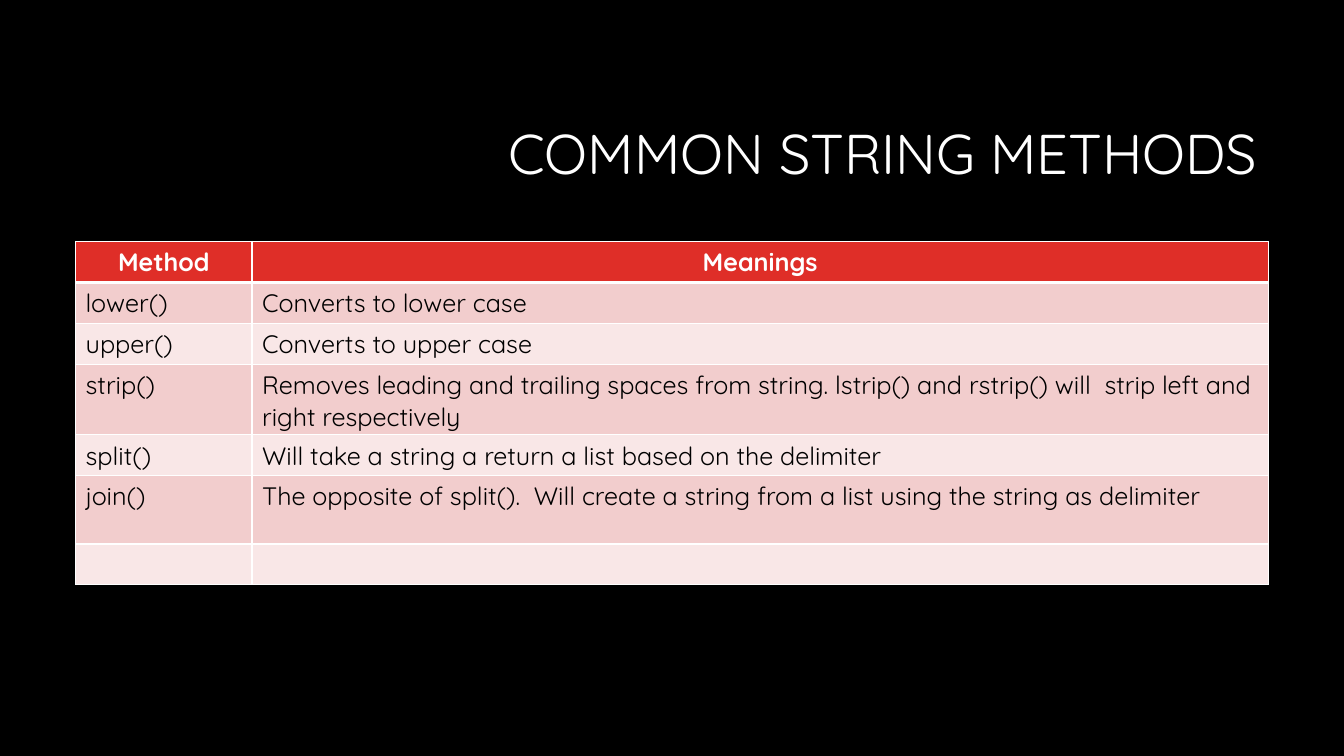
from dataclasses import dataclass

from lxml import etree
from pptx import Presentation
from pptx.dml.color import RGBColor
from pptx.enum import text
from pptx.oxml import ns
from pptx.slide import Slide
from pptx.table import _Cell
from pptx.util import Emu, Pt

EMU_PER_PX = 9525
FONT = "Quicksand"
BLACK = RGBColor(0x00, 0x00, 0x00)
WHITE = RGBColor(0xFF, 0xFF, 0xFF)
RED = RGBColor(0xDF, 0x2E, 0x28)
ROSE = RGBColor(0xF2, 0xCD, 0xCD)
PALE_ROSE = RGBColor(0xF9, 0xE7, 0xE7)
THIN = Pt(0.96)
THICK = Pt(3)
COLUMN_WIDTHS = (168, 968)


@dataclass(frozen=True)
class MethodRow:
    method: str
    meaning: str
    height: int = 39


METHOD_ROWS = (
    MethodRow("Method", "Meanings"),
    MethodRow("lower()", "Converts to lower case"),
    MethodRow("upper()", "Converts to upper case"),
    MethodRow(
        "strip()",
        "Removes leading and trailing spaces from string. lstrip() and rstrip() "
        "will  strip left and right respectively",
        65,
    ),
    MethodRow("split()", "Will take a string a return a list based on the delimiter"),
    MethodRow(
        "join()",
        "The opposite of split().  Will create a string from a list using "
        "the string as delimiter",
        65,
    ),
    MethodRow("", "", 36),
)


def px(length: int) -> Emu:
    return Emu(length * EMU_PER_PX)


def add_title(slide: Slide, wording: str) -> None:
    title = slide.shapes.add_textbox(px(304), px(81), px(903), px(135)).text_frame
    title.word_wrap = True
    title.vertical_anchor = text.MSO_ANCHOR.MIDDLE
    heading = title.paragraphs[0]
    heading.text = wording
    heading.alignment = text.PP_ALIGN.RIGHT
    heading.line_spacing = 0.9
    heading.font.name = FONT
    heading.font.size = Pt(40)
    heading.font.color.rgb = WHITE


def add_borders(cell: _Cell, top: Emu, bottom: Emu) -> None:
    properties = cell._tc.get_or_add_tcPr()
    for side, width in (("L", THIN), ("R", THIN), ("T", top), ("B", bottom)):
        border = etree.SubElement(properties, ns.qn(f"a:ln{side}"), w=str(int(width)))
        fill = etree.SubElement(border, ns.qn("a:solidFill"))
        etree.SubElement(fill, ns.qn("a:srgbClr"), val=str(WHITE))


def fill_cell(cell: _Cell, wording: str, row_index: int) -> None:
    is_header = row_index == 0
    add_borders(
        cell,
        top=THICK if row_index == 1 else THIN,
        bottom=THICK if is_header else THIN,
    )
    cell.fill.solid()
    band = ROSE if row_index % 2 else PALE_ROSE
    cell.fill.fore_color.rgb = RED if is_header else band
    if not wording:
        return
    entry = cell.text_frame.paragraphs[0]
    entry.text = wording
    entry.alignment = text.PP_ALIGN.CENTER if is_header else text.PP_ALIGN.LEFT
    entry.font.name = FONT
    entry.font.size = Pt(18)
    entry.font.bold = is_header
    entry.font.color.rgb = WHITE if is_header else BLACK


def add_methods(slide: Slide, rows: tuple[MethodRow, ...]) -> None:
    methods = slide.shapes.add_table(
        len(rows),
        len(COLUMN_WIDTHS),
        px(72),
        px(230),
        px(sum(COLUMN_WIDTHS)),
        px(sum(row.height for row in rows)),
    ).table
    for column, width in zip(methods.columns, COLUMN_WIDTHS):
        column.width = px(width)
    for row_index, row in enumerate(rows):
        methods.rows[row_index].height = px(row.height)
        for column_index, wording in enumerate((row.method, row.meaning)):
            fill_cell(methods.cell(row_index, column_index), wording, row_index)


def main() -> None:
    deck = Presentation()
    deck.slide_width = px(1280)
    deck.slide_height = px(720)
    slide = deck.slides.add_slide(deck.slide_layouts[6])
    slide.background.fill.solid()
    slide.background.fill.fore_color.rgb = BLACK
    add_title(slide, "COMMON STRING METHODS")
    add_methods(slide, METHOD_ROWS)
    deck.save("out.pptx")


if __name__ == "__main__":
    main()
